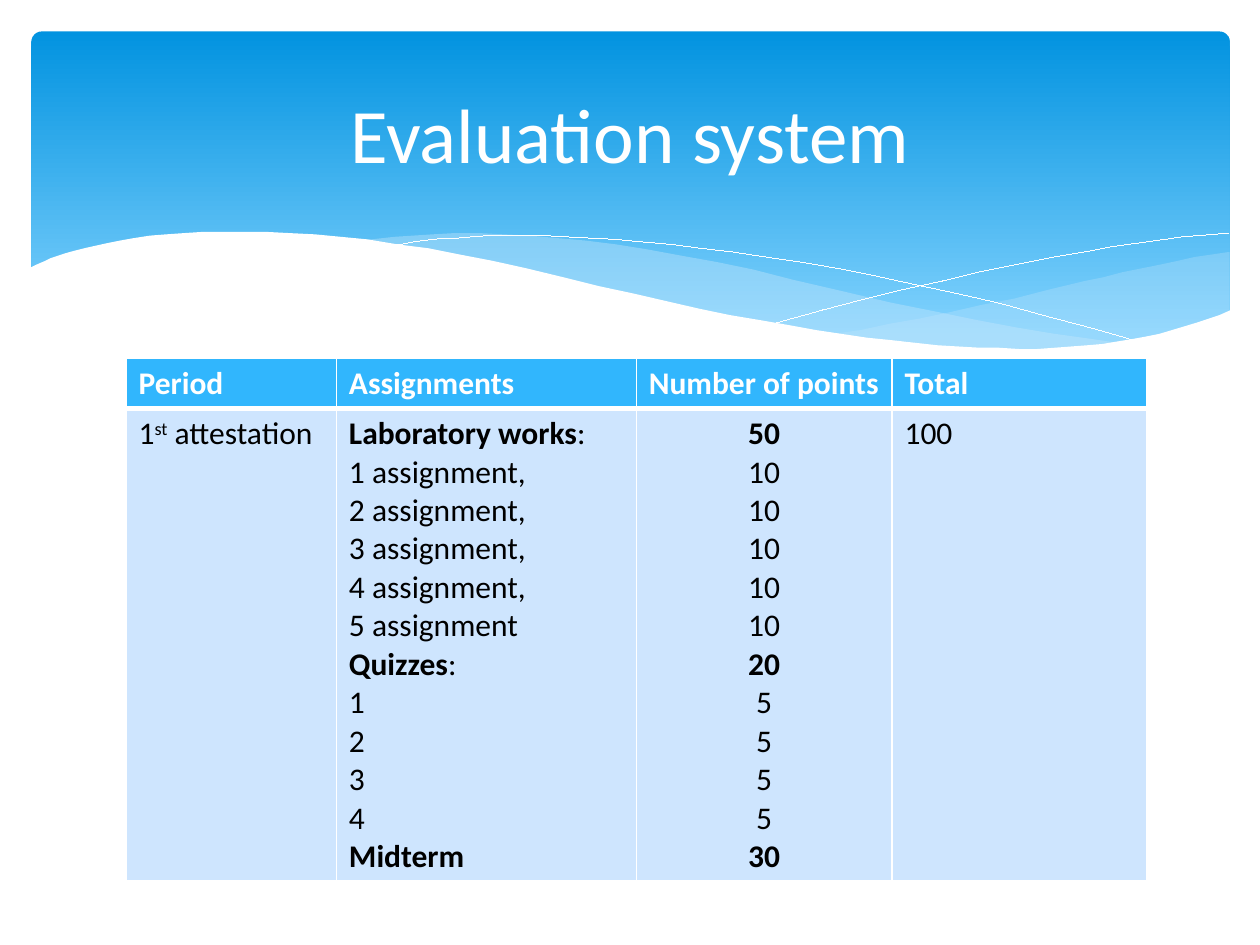
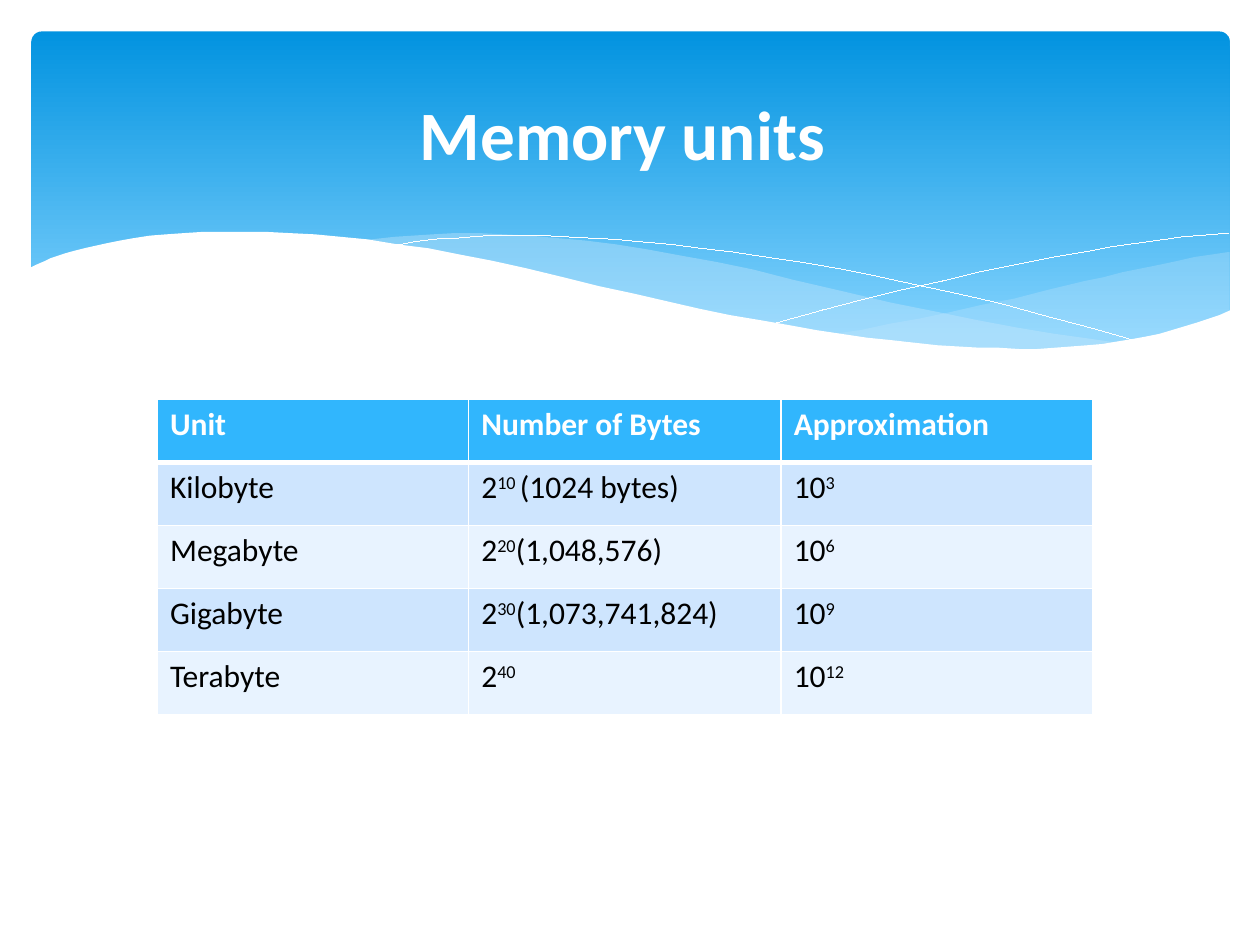
from lxml.etree import SubElement
from pptx import Presentation
from pptx.dml.color import RGBColor
from pptx.enum.shapes import MSO_SHAPE as Preset
from pptx.enum.text import MSO_ANCHOR as Anchor, PP_ALIGN as Align
from pptx.oxml.ns import qn
from pptx.util import Pt

PX = 9144  # EMU in one px, 100 px to the inch
HAIRLINE = 1  # EMU
FONT = "Calibri"
WHITE = RGBColor(0xFF, 0xFF, 0xFF)
BLACK = RGBColor(0x00, 0x00, 0x00)
BAND_TOP = RGBColor(0x02, 0x93, 0xE0)
BAND_BOTTOM = RGBColor(0x83, 0xD3, 0xFE)
WAVE = RGBColor(0xC6, 0xE7, 0xFC)
HEADER = RGBColor(0x31, 0xB6, 0xFD)
ROW_DARK = RGBColor(0xCE, 0xE5, 0xFE)
ROW_LIGHT = RGBColor(0xE8, 0xF3, 0xFF)

# Wave outlines along the lower edge of the title band
RIGHT_WAVE = [
    (975, 200), (962, 202), (948, 204), (935, 207), (921, 210), (906, 213), (891, 216),
    (876, 220), (861, 223), (832, 230), (805, 237), (779, 242), (753, 248), (729, 253),
    (706, 257), (683, 262), (661, 265), (691, 269), (719, 271), (745, 275), (769, 277),
    (803, 278), (835, 277), (863, 275), (889, 272), (913, 267), (935, 262), (949, 257),
    (963, 252), (976, 247), (976, 200)]
LONG_WAVE = [
    (893, 273), (866, 269), (837, 265), (807, 260), (775, 254), (741, 247), (706, 240),
    (668, 231), (629, 222), (598, 214), (569, 208), (541, 203), (514, 198), (489, 194),
    (465, 191), (442, 189), (420, 187), (399, 186), (380, 185), (361, 185), (344, 186),
    (313, 188), (286, 191), (323, 196), (362, 203), (404, 211), (449, 222), (491, 232),
    (530, 240), (566, 248), (601, 255), (634, 261), (665, 266), (695, 270), (722, 274),
    (748, 276), (773, 277), (796, 278), (838, 278), (867, 276), (893, 273)]
FALLING_LINE = [
    (309, 195), (318, 194), (328, 192), (335, 191), (344, 190), (353, 189), (363, 189),
    (374, 188), (387, 187), (401, 187), (416, 187), (433, 187), (450, 188), (469, 189),
    (489, 190), (510, 192), (533, 194), (556, 197), (582, 200), (608, 204), (636, 208),
    (665, 213), (695, 219), (727, 226), (760, 233), (795, 241), (831, 251), (869, 261),
    (907, 272)]
RISING_LINE = [
    (613, 257), (624, 254), (653, 246), (672, 241), (695, 235), (720, 229), (748, 223),
    (776, 216), (806, 210), (836, 204), (866, 199), (881, 196), (895, 194), (910, 192),
    (924, 190), (938, 188), (951, 187), (963, 186), (975, 185)]
WHITE_WAVE = [
    (977, 246), (968, 250), (959, 253), (950, 256), (940, 259), (930, 262), (920, 265),
    (910, 267), (899, 269), (887, 271), (875, 273), (863, 274), (850, 275), (837, 276),
    (823, 277), (809, 277), (793, 276), (778, 276), (761, 275), (744, 274), (726, 272),
    (708, 270), (688, 268), (668, 265), (648, 262), (626, 258), (603, 254), (579, 250),
    (555, 245), (529, 239), (503, 233), (475, 227), (447, 220), (418, 213), (391, 207),
    (365, 202), (340, 197), (316, 194), (292, 190), (271, 188), (250, 186), (230, 185),
    (211, 184), (193, 184), (177, 184), (161, 184), (146, 185), (132, 186), (119, 187),
    (106, 189), (95, 191), (85, 193), (76, 195), (67, 197), (59, 199), (52, 201),
    (46, 203), (40, 205), (36, 207), (29, 210), (25, 212), (23, 213), (23, 329),
    (977, 329)]
# Points, fill and opacity in percent; an outline without fill is a white line
WAVES = [(RIGHT_WAVE, WAVE, 29), (LONG_WAVE, WAVE, 40), (FALLING_LINE, None, 100),
         (RISING_LINE, None, 100), (WHITE_WAVE, WHITE, 100)]

# Cell text: * encloses bold, ^ encloses superscript, one paragraph a line
ASSIGNMENTS = [f"{n} assignment," for n in range(1, 5)] + ["5 assignment"]
WORKS = ["*Laboratory works*:", *ASSIGNMENTS, "*Quizzes*:", "1", "2", "3", "4", "*Midterm*"]
POINTS = ["*50*"] + ["10"] * 5 + ["*20*"] + ["5"] * 4 + ["*30*"]

SLIDES = [
    dict(title="Evaluation system", title_left=50, size=44, bold=False,
         corner=(100, 284), columns=[167, 238, 203, 202], heights=[40, 375],
         centred=2,
         rows=[["Period", "Assignments", "Number of points", "Total"],
               ["1^st^ attestation", "\n".join(WORKS), "\n".join(POINTS), "100"]]),
    dict(title="Memory units", title_left=44, size=39.6, bold=True,
         corner=(125, 317), columns=[247, 248, 247], heights=[50] * 5,
         centred=None,
         rows=[["Unit", "Number of Bytes", "Approximation"],
               ["Kilobyte", "2^10 ^(1024 bytes)", "10^3^"],
               ["Megabyte", "2^20^(1,048,576)", "10^6^"],
               ["Gigabyte", "2^30^(1,073,741,824)", "10^9^"],
               ["Terabyte", "2^40^", "10^12^"]]),
]


def write_line(paragraph, text, size, color, bold):
    """Write one paragraph with its bold and superscript parts."""
    font = paragraph.font
    font.name, font.size, font.bold = FONT, Pt(size), bold
    font.color.rgb = color
    for i, weight_part in enumerate(text.split("*")):
        for j, part in enumerate(weight_part.split("^")):
            if part:
                run = paragraph.add_run()
                run.text = part
                if i % 2:
                    run.font.bold = True
                if j % 2:
                    run.font._element.set("baseline", "30000")


def set_borders(cell, bottom):
    """Draw white cell borders, 1 point wide except the bottom one."""
    properties = cell._tc.get_or_add_tcPr()
    for side, width in (("L", 1), ("R", 1), ("T", 1), ("B", bottom)):
        border = SubElement(properties, qn(f"a:ln{side}"), w=str(Pt(width)))
        paint = SubElement(border, qn("a:solidFill"))
        SubElement(paint, qn("a:srgbClr"), val=str(WHITE))


deck = Presentation()
deck.slide_width, deck.slide_height = 1000 * PX, 750 * PX

for content in SLIDES:
    slide = deck.slides.add_slide(deck.slide_layouts[6])
    shapes = slide.shapes

    # Title band
    band = shapes.add_shape(Preset.ROUNDED_RECTANGLE, 25 * PX, 25 * PX, 951 * PX, 270 * PX)
    band.adjustments[0] = 0.03
    band.shadow.inherit = False
    band.line.fill.background()
    band.fill.gradient()
    band.fill.gradient_angle = 270
    stops = band.fill.gradient_stops
    for stop, color, position in zip(stops, (BAND_TOP, BAND_BOTTOM), (0, 0.9)):
        stop.color.rgb, stop.position = color, position

    # Waves
    for points, color, opacity in WAVES:
        outline = shapes.build_freeform(*points[0], scale=PX)
        outline.add_line_segments(points[1:], close=color is not None)
        wave = outline.convert_to_shape()
        wave.shadow.inherit = False
        if color is None:
            wave.fill.background()
            wave.line.color.rgb = WHITE
            wave.line.width = HAIRLINE
            continue
        wave.line.fill.background()
        wave.fill.solid()
        wave.fill.fore_color.rgb = color
        if opacity < 100:
            paint = wave._element.spPr.find(qn("a:solidFill"))
            SubElement(paint[0], qn("a:alpha"), val=str(opacity * 1000))

    # Title
    title = shapes.add_textbox(content["title_left"] * PX, 37 * PX, 900 * PX, 137 * PX)
    title.text_frame.word_wrap = True
    title.text_frame.vertical_anchor = Anchor.MIDDLE
    heading = title.text_frame.paragraphs[0]
    heading.alignment = Align.CENTER
    write_line(heading, content["title"], content["size"], WHITE, content["bold"])

    # Table
    rows, columns, heights = content["rows"], content["columns"], content["heights"]
    left, top = content["corner"]
    table = shapes.add_table(len(rows), len(columns), left * PX, top * PX,
                             sum(columns) * PX, sum(heights) * PX).table
    for column, width in zip(table.columns, columns):
        column.width = width * PX
    for r, texts in enumerate(rows):
        table.rows[r].height = heights[r] * PX
        is_header = r == 0
        for c, text in enumerate(texts):
            cell = table.cell(r, c)
            set_borders(cell, bottom=3 if is_header else 1)
            cell.fill.solid()
            cell.fill.fore_color.rgb = (
                HEADER if is_header else ROW_DARK if r % 2 else ROW_LIGHT)
            for n, line in enumerate(text.split("\n")):
                frame = cell.text_frame
                paragraph = frame.add_paragraph() if n else frame.paragraphs[0]
                if c == content["centred"] and not is_header:
                    paragraph.alignment = Align.CENTER
                write_line(paragraph, line, 18, WHITE if is_header else BLACK, is_header)

deck.save("out.pptx")
